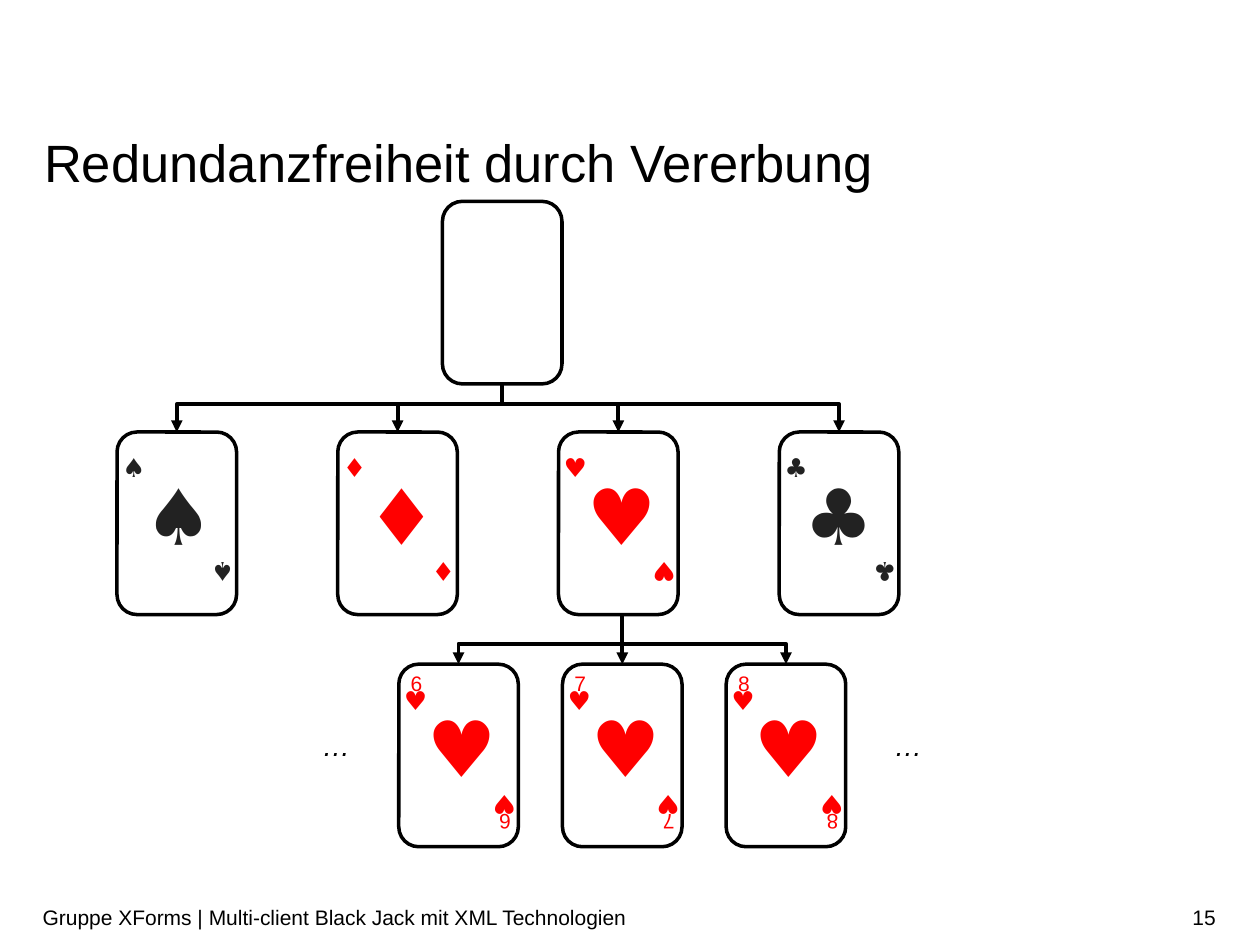
from dataclasses import dataclass

import pptx
import pptx.dml.color
import pptx.enum.shapes
import pptx.enum.text
import pptx.oxml
import pptx.oxml.ns
import pptx.util
from pptx.util import Cm, Pt


@dataclass(frozen=True)
class Theme:
    text_font: str = "Arial"
    suit_font: str = "DejaVu Sans Mono"
    black: str = "000000"
    dark: str = "222222"
    red: str = "FF0000"
    title: int = 30
    ellipsis: int = 16
    small: int = 12
    corner_suit: int = 18
    center_suit: int = 54
    card_line: float = 2
    arrow_line: float = 2.25


theme = Theme()
color = pptx.dml.color.RGBColor.from_string
qn = pptx.oxml.ns.qn
Connector = pptx.enum.shapes.MSO_CONNECTOR
Align = pptx.enum.text.PP_ALIGN
Anchor = pptx.enum.text.MSO_ANCHOR

presentation = pptx.Presentation()
presentation.slide_width = Cm(25.4)
presentation.slide_height = Cm(19.05)
slide = presentation.slides.add_slide(presentation.slide_layouts[6])


def add_text(text, left, top, width, height, size, text_color=theme.black,
             font=theme.text_font, inset=(0.25, 0.13), rotation=0):
    """Add a one-run text box, measured in centimetres, and return it."""
    box = slide.shapes.add_textbox(Cm(left), Cm(top), Cm(width), Cm(height))
    box.rotation = rotation
    frame = box.text_frame
    frame.word_wrap = True
    frame.margin_left = frame.margin_right = Cm(inset[0])
    frame.margin_top = frame.margin_bottom = Cm(inset[1])
    run = frame.paragraphs[0].add_run()
    run.text = text
    run.font.name = font
    run.font.size = Pt(size)
    run.font.color.rgb = color(text_color)
    return box


def add_line(kind, start, end, arrow=True):
    connector = slide.shapes.add_connector(kind, *map(Cm, start + end))
    connector.line.color.rgb = color(theme.black)
    connector.line.width = Pt(theme.arrow_line)
    properties = connector._element.spPr
    if kind == Connector.ELBOW:
        # One corner only: across, then down
        properties.find(qn("a:prstGeom")).set("prst", "bentConnector2")
    if arrow:
        tail = pptx.oxml.parse_xml(
            f'<a:tailEnd {pptx.oxml.ns.nsdecls("a")} type="triangle"/>')
        connector.line._get_or_add_ln().append(tail)
    properties.append(pptx.oxml.parse_xml(
        f'<a:effectLst {pptx.oxml.ns.nsdecls("a")}/>'))


# Title and footer
title = add_text("Redundanzfreiheit durch Vererbung", 0.89, 2.77, 23.65, 1.14,
                 theme.title, inset=(0, 0))
title.text_frame.paragraphs[0].line_spacing = Pt(32)
footer = add_text("Gruppe XForms | Multi-client Black Jack mit XML Technologien",
                  0.86, 17.98, 17.96, 1.02, theme.small, inset=(0, 0.13))
number = add_text("15", 18.82, 17.98, 5.69, 1.02, theme.small, inset=(0, 0.13))
number.text_frame.paragraphs[0].alignment = Align.RIGHT
for box in (footer, number):
    box.text_frame.vertical_anchor = Anchor.MIDDLE

# Inheritance tree: the blank card, the four suits, then cards with a rank
card_width, card_height = 2.41, 3.68
root_left, root_top = 8.92, 4.06
suit_top, rank_top = 8.71, 13.39
suit_lefts = [2.36 + 4.45 * column for column in range(4)]
rank_lefts = [8.04 + 3.3 * column for column in range(3)]

cards = [(root_left, root_top, "", "")]
cards += [(left, suit_top, suit, "") for left, suit in zip(suit_lefts, "♠♦♥♣")]
cards += [(left, rank_top, "♥", rank) for left, rank in zip(rank_lefts, "678")]

# Colour, corner box width, centre box offset and width
suit_styles = {
    "♠": (theme.dark, 0.84, 0.43, 0.94),
    "♦": (theme.red, 0.84, 0.48, 1.5),
    "♥": (theme.red, 0.89, 0.45, 1.65),
    "♣": (theme.dark, 0.94, 0.38, 1.78),
}

for left, top, suit, rank in cards:
    card = slide.shapes.add_shape(
        pptx.enum.shapes.MSO_SHAPE.ROUNDED_RECTANGLE,
        Cm(left), Cm(top), Cm(card_width), Cm(card_height))
    card.shadow.inherit = False
    card.fill.background()
    card.line.color.rgb = color(theme.black)
    card.line.width = Pt(theme.card_line)
    if suit:
        suit_color, corner_width, center_offset, center_width = suit_styles[suit]
        right_corner = left + card_width + 0.16 - corner_width
        for x, y, rotation in ((left - 0.1, top + 0.2, 0),
                               (right_corner, top + 2.34, 180)):
            add_text(suit, x, y, corner_width, 1.02, theme.corner_suit,
                     suit_color, theme.suit_font, rotation=rotation)
        add_text(suit, left + center_offset, top + 0.37, center_width, 2.57,
                 theme.center_suit, suit_color, theme.suit_font)
    if rank:
        for x, y, rotation in ((0.24, 0.05, 0), (1.93, 2.98, 180)):
            rank_box = add_text(rank, left + x, top + y, 0.33, 0.55, theme.small,
                                theme.red, inset=(0, 0), rotation=rotation)
            rank_box.text_frame.paragraphs[0].line_spacing = 1.14

for left in (6.25, 17.78):
    ellipsis = add_text("…", left, 14.55, 1.37, 1.35, theme.ellipsis)
    ellipsis.text_frame.paragraphs[0].runs[0].font.italic = True

# Each trunk drops to a bus; outer children get elbows, inner ones arrows
half = card_width / 2
branches = (
    (root_left + half, root_top + card_height, 8.15, suit_lefts, suit_top),
    (rank_lefts[1] + half, suit_top + card_height, 12.98, rank_lefts, rank_top),
)
for trunk, parent_bottom, bus, child_lefts, child_top in branches:
    add_line(Connector.STRAIGHT, (trunk, parent_bottom), (trunk, bus), arrow=False)
    for left in (child_lefts[0], child_lefts[-1]):
        add_line(Connector.ELBOW, (trunk, bus), (left + half, child_top))
    for left in child_lefts[1:-1]:
        add_line(Connector.STRAIGHT, (left + half, bus), (left + half, child_top))

presentation.save("out.pptx")
